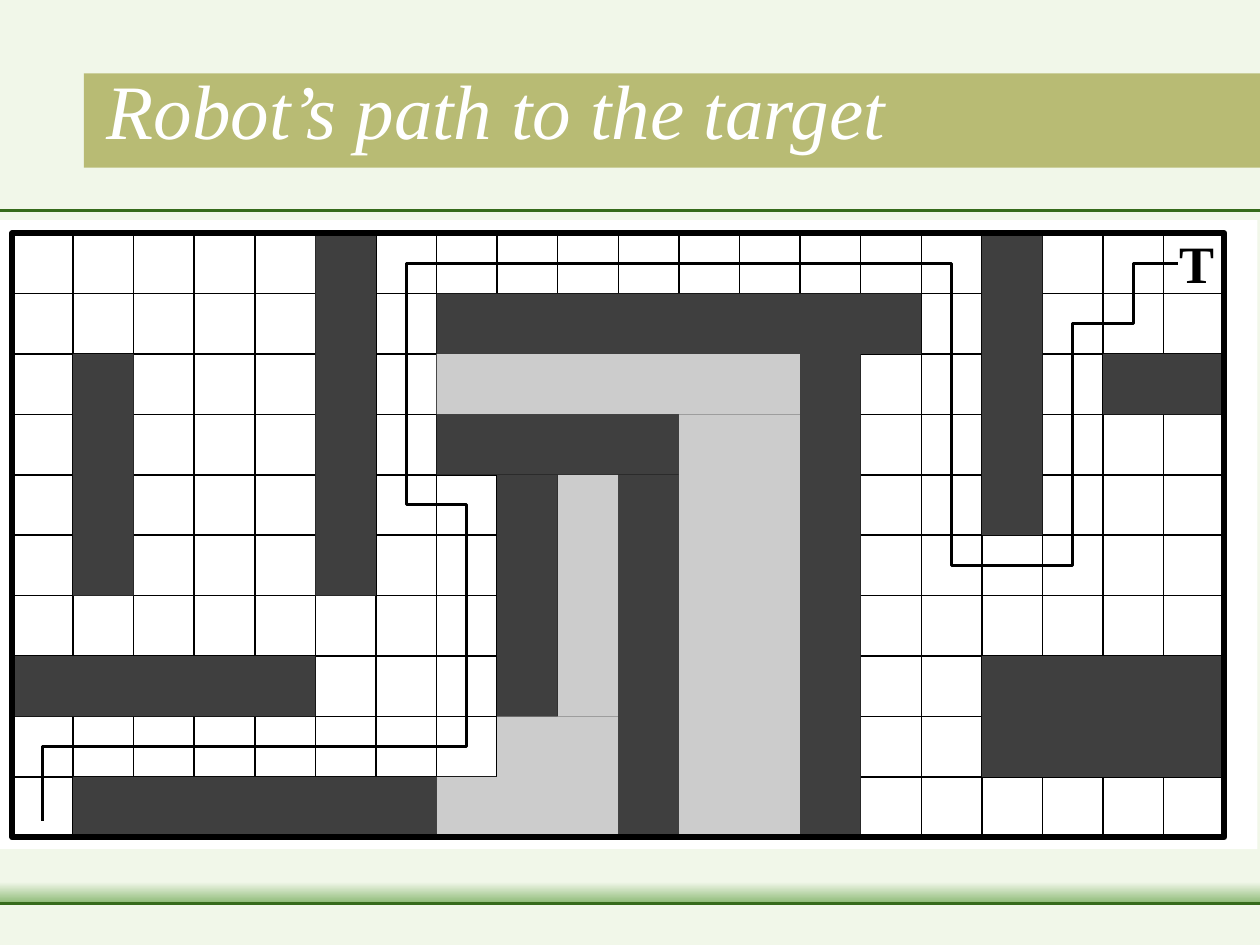
from typing import NamedTuple

from lxml import etree
from pptx import Presentation
from pptx import util as u
from pptx.dml.color import RGBColor
from pptx.enum import shapes, text
from pptx.oxml.ns import qn

PALE = RGBColor(0xF1, 0xF7, 0xE9)
LEAF = RGBColor(0x8D, 0xBA, 0x76)
FOREST = RGBColor(0x36, 0x6B, 0x1B)
OLIVE = RGBColor(0x80, 0x80, 0x00)
WHITE = RGBColor(0xFF, 0xFF, 0xFF)
BLACK = RGBColor(0, 0, 0)
WALL = RGBColor(0x3F, 0x3F, 0x3F)
SHADED = RGBColor(0xCC, 0xCC, 0xCC)
FONT = "Times New Roman"

WIDTH, HEIGHT = 25.4, 19.05
GRID_LEFT, GRID_TOP = 0.25, 4.7
COLUMNS, ROWS = 20, 10
GRID_WIDTH, GRID_HEIGHT = 24.43, 12.18


class Block(NamedTuple):
    column: int
    row: int
    columns: int
    rows: int
    color: RGBColor


BLOCKS = [
    Block(1, 2, 1, 4, WALL),
    Block(0, 7, 5, 1, WALL),
    Block(5, 0, 1, 6, WALL),
    Block(16, 0, 1, 5, WALL),
    Block(18, 2, 2, 1, WALL),
    Block(16, 7, 4, 2, WALL),
    Block(9, 4, 1, 4, SHADED),
    Block(8, 8, 2, 2, SHADED),
    Block(7, 9, 1, 1, SHADED),
    Block(7, 2, 6, 1, SHADED),
    Block(11, 3, 2, 7, SHADED),
    Block(7, 3, 4, 1, WALL),
    Block(8, 4, 1, 4, WALL),
    Block(10, 4, 1, 6, WALL),
    Block(1, 9, 6, 1, WALL),
    Block(13, 2, 1, 8, WALL),
    Block(7, 1, 8, 1, WALL),
]

ROUTE = [
    (0.5, 9.73), (0.5, 8.5), (7.5, 8.5), (7.5, 4.5), (6.5, 4.5),
    (6.5, 0.5), (15.5, 0.5), (15.5, 5.5), (17.5, 5.5), (17.5, 1.5),
    (18.5, 1.5), (18.5, 0.5), (19.23, 0.5),
]


def grid_x(column: float) -> float:
    return GRID_LEFT + column * GRID_WIDTH / COLUMNS


def grid_y(row: float) -> float:
    return GRID_TOP + row * GRID_HEIGHT / ROWS


def add_rectangle(slide, left: float, top: float, width: float, height: float,
                  color: RGBColor | None = None):
    rectangle = slide.shapes.add_shape(
        shapes.MSO_SHAPE.RECTANGLE,
        u.Cm(left), u.Cm(top), u.Cm(width), u.Cm(height))
    rectangle.shadow.inherit = False
    rectangle.line.fill.background()
    if color is None:
        rectangle.fill.background()
    else:
        rectangle.fill.solid()
        rectangle.fill.fore_color.rgb = color
    return rectangle


def add_rule(slide, x1: float, y1: float, x2: float, y2: float,
             color: RGBColor, weight: float) -> None:
    rule = slide.shapes.add_connector(
        shapes.MSO_CONNECTOR.STRAIGHT,
        u.Cm(x1), u.Cm(y1), u.Cm(x2), u.Cm(y2))
    rule.line.color.rgb = color
    rule.line.width = u.Pt(weight)
    etree.SubElement(rule._element.spPr, qn("a:effectLst"))


def add_run(paragraph, words: str, size: float, color: RGBColor,
            bold: bool = False, italic: bool = False) -> None:
    run = paragraph.add_run()
    run.text = words
    run.font.name = FONT
    run.font.size = u.Pt(size)
    run.font.color.rgb = color
    run.font.bold = bold
    run.font.italic = italic


def add_backdrop(slide) -> None:
    slide.background.fill.solid()
    slide.background.fill.fore_color.rgb = PALE
    add_rule(slide, 0, 4.24, WIDTH, 4.24, FOREST, 1.5)
    footer_glow = add_rectangle(slide, 0, 17.78, WIDTH, 0.43)
    footer_glow.fill.gradient()
    footer_glow.fill.gradient_angle = 270
    for stop, color in zip(footer_glow.fill.gradient_stops, (PALE, LEAF)):
        stop.color.rgb = color
    add_rule(slide, 0, 18.21, WIDTH, 18.21, FOREST, 1.5)
    title_band = add_rectangle(slide, 1.69, 1.48, WIDTH - 1.69, 1.9, OLIVE)
    band_color = title_band._element.spPr.find(".//" + qn("a:srgbClr"))
    etree.SubElement(band_color, qn("a:alpha"), val="50000")


def add_title(slide) -> None:
    title = slide.shapes.title
    slide.shapes._spTree.append(title._element)
    title.left, title.top = u.Cm(1.9), u.Cm(0.84)
    title.width, title.height = u.Cm(22.94), u.Cm(2.69)
    frame = title.text_frame
    frame.auto_size = text.MSO_AUTO_SIZE.NONE
    frame.vertical_anchor = text.MSO_ANCHOR.MIDDLE
    heading = frame.paragraphs[0]
    heading.alignment = text.PP_ALIGN.LEFT
    add_run(heading, "Robot’s path to the target", 44, WHITE, italic=True)


def add_grid(slide) -> None:
    right, bottom = grid_x(COLUMNS), grid_y(ROWS)
    for row in range(1, ROWS):
        add_rule(slide, GRID_LEFT, grid_y(row), right, grid_y(row), BLACK, 0.88)
    for column in range(1, COLUMNS):
        add_rule(slide, grid_x(column), GRID_TOP, grid_x(column), bottom, BLACK, 0.88)


def add_block(slide, block: Block) -> None:
    left, top = grid_x(block.column), grid_y(block.row)
    add_rectangle(slide, left, top,
                  grid_x(block.column + block.columns) - left,
                  grid_y(block.row + block.rows) - top, block.color)


def add_route(slide) -> None:
    points = [(u.Cm(grid_x(x)), u.Cm(grid_y(y))) for x, y in ROUTE]
    builder = slide.shapes.build_freeform(*points[0])
    builder.add_line_segments(points[1:], close=False)
    route = builder.convert_to_shape()
    route.shadow.inherit = False
    route.fill.background()
    route.line.color.rgb = BLACK
    route.line.width = u.Pt(1.75)


def add_target(slide) -> None:
    target = slide.shapes.add_textbox(
        u.Cm(23.77), u.Cm(4.65), u.Cm(0.71), u.Cm(1.27))
    frame = target.text_frame
    frame.word_wrap = False
    frame.auto_size = text.MSO_AUTO_SIZE.SHAPE_TO_FIT_TEXT
    frame.margin_left = frame.margin_right = 0
    frame.margin_top = frame.margin_bottom = 0
    add_run(frame.paragraphs[0], "T", 30, BLACK, bold=True)


def main() -> None:
    deck = Presentation()
    deck.slide_width, deck.slide_height = u.Cm(WIDTH), u.Cm(HEIGHT)
    slide = deck.slides.add_slide(deck.slide_layouts.get_by_name("Title Only"))
    add_backdrop(slide)
    add_title(slide)
    add_rectangle(slide, 0, 4.44, 25.35, 12.68, WHITE)
    add_grid(slide)
    for block in BLOCKS:
        add_block(slide, block)
    add_target(slide)
    add_route(slide)
    border = add_rectangle(slide, GRID_LEFT, GRID_TOP, GRID_WIDTH, GRID_HEIGHT)
    border.line.color.rgb = BLACK
    border.line.width = u.Pt(3.5)
    deck.save("out.pptx")


if __name__ == "__main__":
    main()
